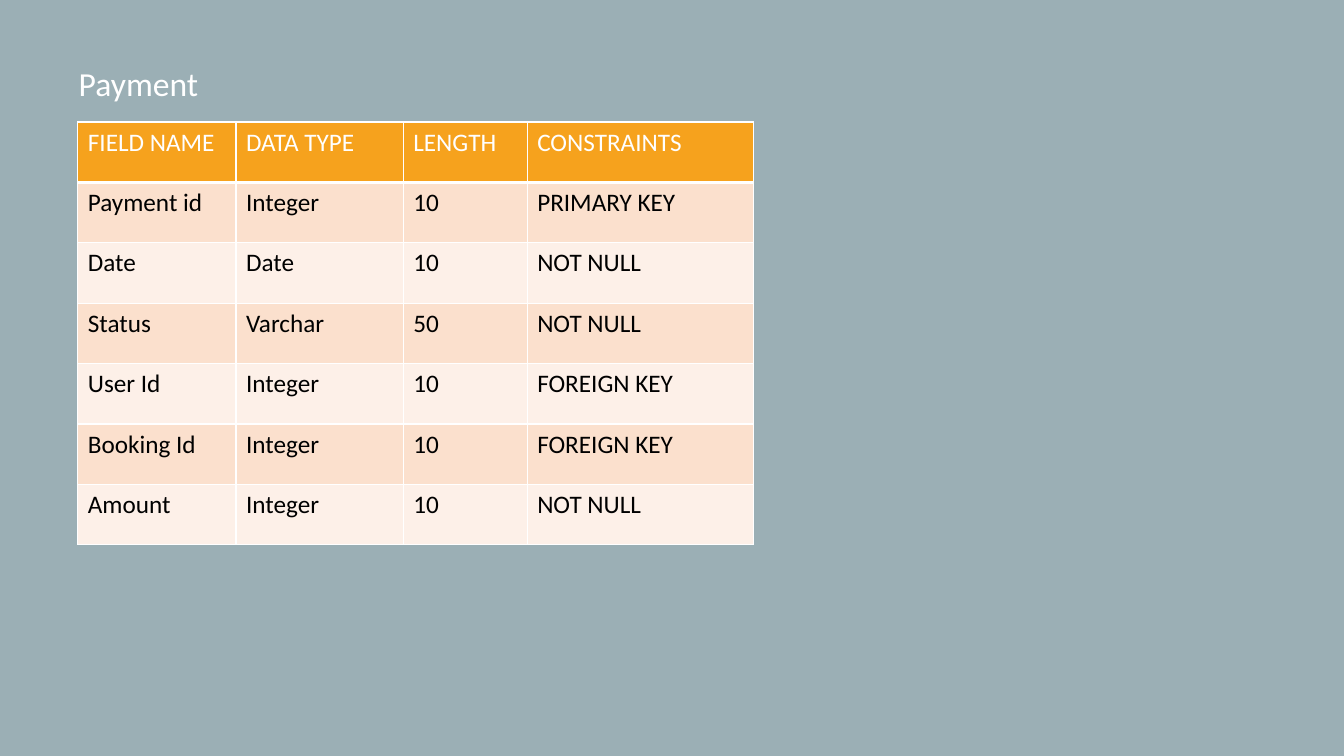
from lxml import etree
from pptx import Presentation
from pptx.dml.color import RGBColor
from pptx.enum import text
from pptx.oxml import ns
from pptx.util import Pt

# Content
TITLE = "Payment"
ROWS = [
    ("FIELD NAME", "DATA TYPE", "LENGTH", "CONSTRAINTS"),
    ("Payment id", "Integer", "10", "PRIMARY KEY"),
    ("Date", "Date", "10", "NOT NULL"),
    ("Status", "Varchar", "50", "NOT NULL"),
    ("User Id", "Integer", "10", "FOREIGN KEY"),
    ("Booking Id", "Integer", "10", "FOREIGN KEY"),
    ("Amount", "Integer", "10", "NOT NULL"),
]

# Style and measures, in points
FONT = "Calibri"
COLORS = {
    "background": "9BAFB5", "header": "F6A21D", "odd": "FBE0CD",
    "even": "FDF0E8", "white": "FFFFFF", "black": "000000",
}
COL_WIDTHS = (113, 119.5, 88.5, 161.5)
ROW_HEIGHT = 43.15
TABLE_LEFT, TABLE_TOP = 55.6, 87.2
THIN, THICK = 1, 3


def color(name):
    return RGBColor.from_string(COLORS[name])


def add_run(p, words, size, color_name):
    r = p.add_run()
    r.text = words
    r.font.name = FONT
    r.font.size = Pt(size)
    r.font.bold = False
    r.font.color.rgb = color(color_name)


def add_borders(cell, widths):
    tc_pr = cell._tc.get_or_add_tcPr()
    for side, width in widths.items():
        ln = etree.SubElement(tc_pr, ns.qn(f"a:ln{side}"), w=str(Pt(width)))
        fill = etree.SubElement(ln, ns.qn("a:solidFill"))
        etree.SubElement(fill, ns.qn("a:srgbClr"), val=COLORS["white"])


prs = Presentation()
prs.slide_width, prs.slide_height = Pt(960), Pt(540)
slide = prs.slides.add_slide(prs.slide_layouts[5])
slide.background.fill.solid()
slide.background.fill.fore_color.rgb = color("background")

# Title
sp = slide.shapes.title
sp.left, sp.top, sp.width, sp.height = Pt(49), Pt(41), Pt(173.5), Pt(36)
tf = sp.text_frame
tf.word_wrap = True
tf.auto_size = text.MSO_AUTO_SIZE.NONE
tf.vertical_anchor = text.MSO_ANCHOR.TOP
p = tf.paragraphs[0]
p.alignment = text.PP_ALIGN.LEFT
add_run(p, TITLE, 24, "white")

# Table grid
table = slide.shapes.add_table(
    len(ROWS), len(COL_WIDTHS), Pt(TABLE_LEFT), Pt(TABLE_TOP),
    Pt(sum(COL_WIDTHS)), Pt(ROW_HEIGHT * len(ROWS))).table
for column, width in zip(table.columns, COL_WIDTHS):
    column.width = Pt(width)
for row in table.rows:
    row.height = Pt(ROW_HEIGHT)

# Cells: header, then alternating bands
for i, values in enumerate(ROWS):
    header = i == 0
    fill_name = "header" if header else ("even", "odd")[i % 2]
    borders = {"L": THIN, "R": THIN,
               "T": THICK if i == 1 else THIN,
               "B": THICK if header else THIN}
    for j, value in enumerate(values):
        cell = table.cell(i, j)
        add_borders(cell, borders)
        cell.fill.solid()
        cell.fill.fore_color.rgb = color(fill_name)
        add_run(cell.text_frame.paragraphs[0], value, 18,
                "white" if header else "black")

prs.save("out.pptx")
